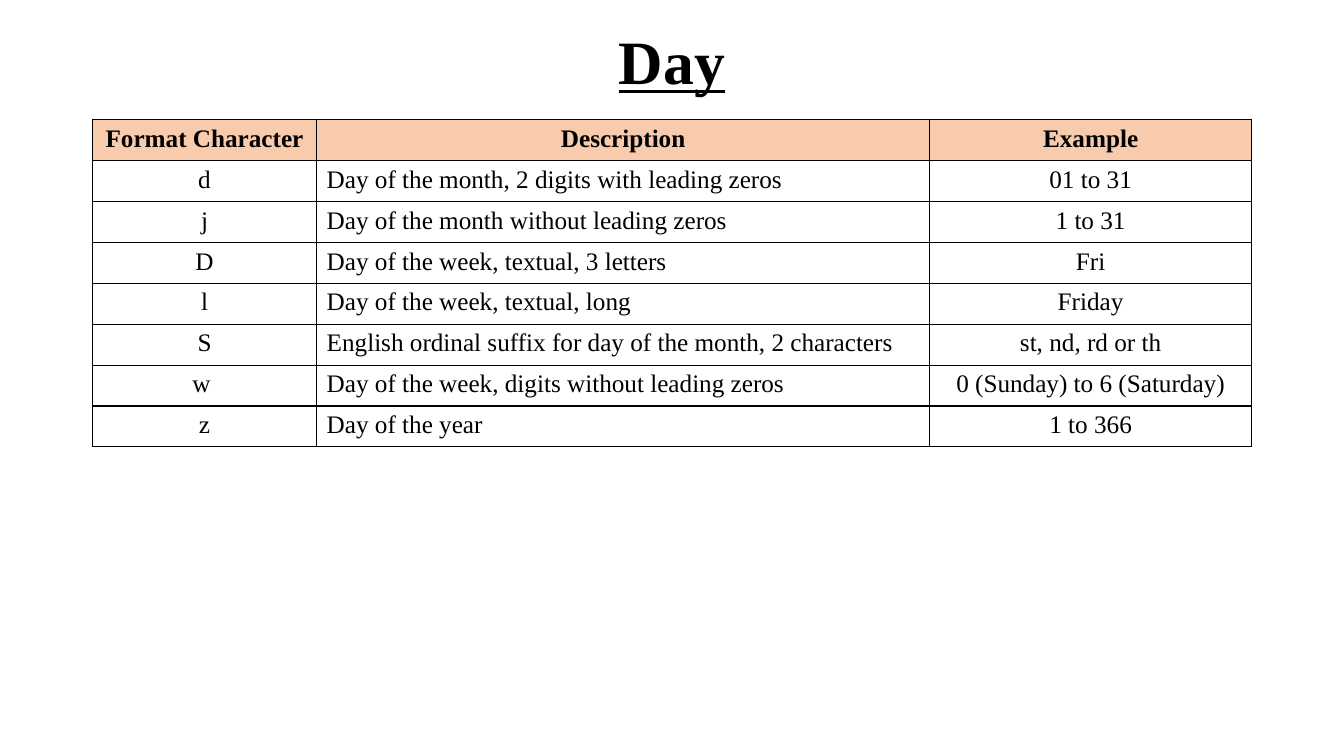
from dataclasses import dataclass

from lxml.etree import SubElement
from pptx import Presentation
from pptx.dml.color import RGBColor as RGB
from pptx.enum.text import MSO_ANCHOR as ANCHOR, PP_ALIGN as ALIGN
from pptx.oxml.ns import qn
from pptx.util import Cm, Pt


@dataclass(frozen=True)
class Theme:
    """Colours, font and type sizes of the slide."""
    font: str = "Times New Roman"
    ink: str = "000000"
    header: str = "F8CBAD"
    title_size: int = 44
    body_size: int = 18
    border: int = 1


theme = Theme()


def style_paragraph(p, size, align, bold=False):
    """Align a paragraph and format its runs."""
    p.alignment = align
    for r in p.runs:
        r.font.name = theme.font
        r.font.size = Pt(size)
        r.font.bold = bold
        r.font.color.rgb = RGB.from_string(theme.ink)


def add_borders(cell):
    """Draw a solid line on each side of a table cell."""
    tcPr = cell._tc.get_or_add_tcPr()
    for side in ("a:lnL", "a:lnR", "a:lnT", "a:lnB"):
        ln = SubElement(tcPr, qn(side), w=str(Pt(theme.border)))
        fill = SubElement(ln, qn("a:solidFill"))
        SubElement(fill, qn("a:srgbClr"), val=theme.ink)


prs = Presentation()
prs.slide_width, prs.slide_height = Cm(33.87), Cm(19.05)
s = prs.slides.add_slide(prs.slide_layouts[5])

left, width = Cm(2.33), Cm(29.21)
title = s.shapes.title
title.left, title.top, title.width, title.height = left, Cm(0.25), width, Cm(2.77)
tf = title.text_frame
tf.text = "Day"
tf.vertical_anchor = ANCHOR.MIDDLE
p = tf.paragraphs[0]
p.line_spacing = 0.9
style_paragraph(p, theme.title_size, ALIGN.CENTER, bold=True)
p.runs[0].font.underline = True

rows = [
    ("Format Character", "Description", "Example"),
    ("d", "Day of the month, 2 digits with leading zeros", "01 to 31"),
    ("j", "Day of the month without leading zeros", "1 to 31"),
    ("D", "Day of the week, textual, 3 letters", "Fri"),
    ("l", "Day of the week, textual, long", "Friday"),
    ("S", "English ordinal suffix for day of the month, 2 characters", "st, nd, rd or th"),
    ("w ", "Day of the week, digits without leading zeros", "0 (Sunday) to 6 (Saturday)"),
    ("z", "Day of the year", "1 to 366"),
]
column_widths = (5.65, 15.45, 8.11)
row_height = Cm(1.03)

table = s.shapes.add_table(
    len(rows), len(column_widths), left, Cm(3.02), width, row_height * len(rows)
).table
table.horz_banding = False
for column, column_width in zip(table.columns, column_widths):
    column.width = Cm(column_width)

for i, row in enumerate(rows):
    table.rows[i].height = row_height
    is_header = i == 0
    for j, text in enumerate(row):
        cell = table.cell(i, j)
        cell.text_frame.text = text
        is_description = j == 1 and not is_header
        align = ALIGN.LEFT if is_description else ALIGN.CENTER
        style_paragraph(cell.text_frame.paragraphs[0], theme.body_size, align, is_header)
        add_borders(cell)
        if is_header:
            cell.fill.solid()
            cell.fill.fore_color.rgb = RGB.from_string(theme.header)
        else:
            cell.fill.background()

prs.save("out.pptx")
